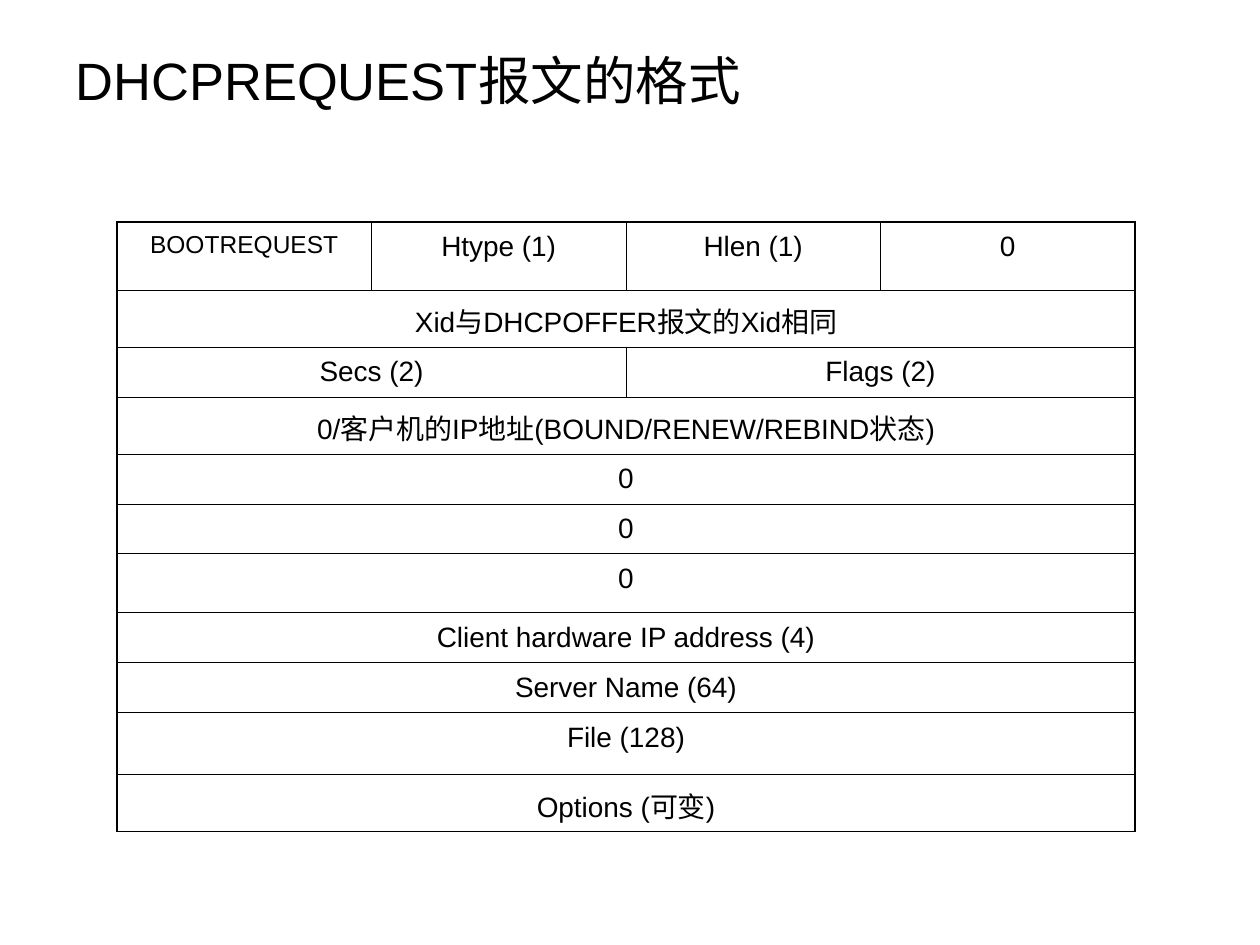
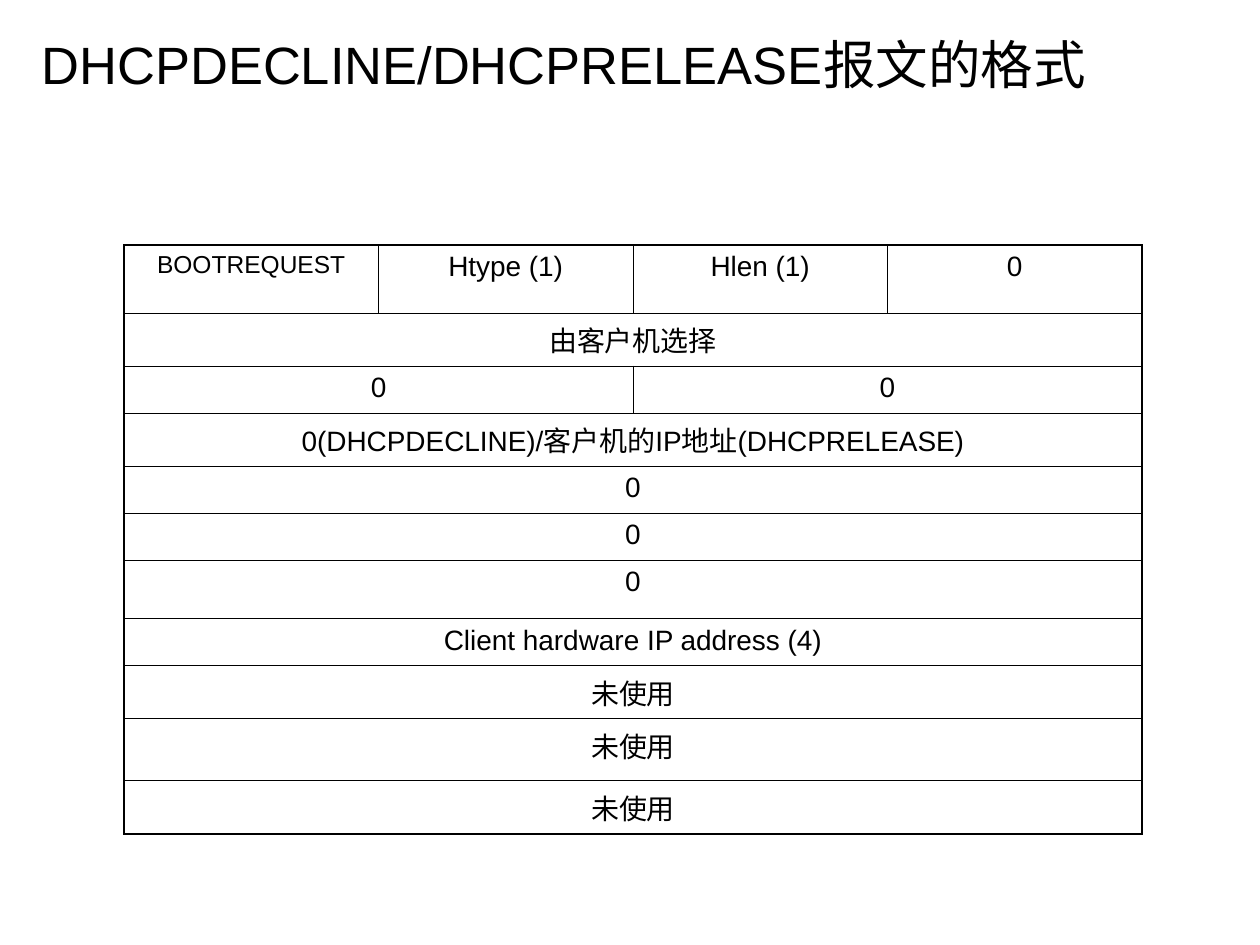
from lxml.etree import SubElement
from pptx import Presentation
from pptx.dml.color import RGBColor
from pptx.enum.text import MSO_ANCHOR as Anchor, MSO_AUTO_SIZE as AutoSize, PP_ALIGN as Align
from pptx.oxml.ns import qn
from pptx.util import Emu, Pt

EMU_PER_PX = 914400 / 126
COLUMNS = 4
TALL_ROWS = {0: 68, 6: 59, 9: 62}


def px(length):
    return Emu(round(length * EMU_PER_PX))


def color(hex_value):
    return RGBColor.from_string(hex_value)


class MessageDeck:
    font_name = "Arial"
    ink = "000000"
    title_size, field_size, opcode_size = 30, 16, 14
    outer_line, inner_line = Pt(1.08), Pt(0.45)

    def __init__(self):
        self.deck = Presentation()
        self.deck.slide_width, self.deck.slide_height = px(1260), px(945)
        self.slide = None

    def add_slide(self):
        self.slide = self.deck.slides.add_slide(self.deck.slide_layouts[5])

    def add_run(self, paragraph, text, size):
        run = paragraph.add_run()
        run.text = text
        run.font.name = self.font_name
        run.font.size = Pt(size)
        run.font.color.rgb = color(self.ink)

    def title(self, text, left, top, width):
        heading = self.slide.shapes.title
        heading.left, heading.top = px(left), px(top)
        heading.width, heading.height = px(width), px(107)
        frame = heading.text_frame
        frame.auto_size = AutoSize.NONE
        frame.vertical_anchor = Anchor.MIDDLE
        frame.paragraphs[0].alignment = Align.LEFT
        self.add_run(frame.paragraphs[0], text, self.title_size)

    def border(self, cell, widths):
        """Draw the left, right, top and bottom lines, which precede the fill in the XML."""
        properties = cell._tc.get_or_add_tcPr()
        for position, (side, width) in enumerate(zip("LRTB", widths)):
            line = SubElement(properties, qn(f"a:ln{side}"), w=str(width))
            fill = SubElement(line, qn("a:solidFill"))
            SubElement(fill, qn("a:srgbClr"), val=self.ink)
            properties.insert(position, line)

    def message_format(self, rows, left, top, row_height, line_spacing):
        """Draw a packet layout; the fields of each row share its width equally."""
        heights = [TALL_ROWS.get(i, row_height) for i in range(len(rows))]
        table = self.slide.shapes.add_table(
            len(rows), COLUMNS, px(left), px(top), px(1018), px(sum(heights))).table
        table.first_row = table.horz_banding = False
        for row, height in zip(table.rows, heights):
            row.height = px(height)

        def edge(is_outer):
            return self.outer_line if is_outer else self.inner_line

        for r, fields in enumerate(rows):
            span = COLUMNS // len(fields)
            for f, field in enumerate(fields):
                first, last = f * span, (f + 1) * span - 1
                widths = (edge(first == 0), edge(last == COLUMNS - 1),
                          edge(r == 0), edge(r == len(rows) - 1))
                for c in range(first, last + 1):
                    table.cell(r, c).fill.background()
                    self.border(table.cell(r, c), widths)
                cell = table.cell(r, first)
                if span > 1:
                    cell.merge(table.cell(r, last))
                paragraph = cell.text_frame.paragraphs[0]
                paragraph.alignment = Align.CENTER
                paragraph.line_spacing = line_spacing
                is_opcode = r == f == 0
                self.add_run(paragraph, field,
                             self.opcode_size if is_opcode else self.field_size)


HEADER = ["BOOTREQUEST", "Htype (1)", "Hlen (1)", "0"]
ADDRESSES = [["0"]] * 3 + [["Client hardware IP address (4)"]]

REQUEST = [
    HEADER,
    ["Xid与DHCPOFFER报文的Xid相同"],
    ["Secs (2)", "Flags (2)"],
    ["0/客户机的IP地址(BOUND/RENEW/REBIND状态)"],
    *ADDRESSES,
    ["Server Name (64)"],
    ["File (128)"],
    ["Options (可变)"],
]
DECLINE_RELEASE = [
    HEADER,
    ["由客户机选择"],
    ["0", "0"],
    ["0(DHCPDECLINE)/客户机的IP地址(DHCPRELEASE)"],
    *ADDRESSES,
    *[["未使用"]] * 3,
]


def main():
    messages = MessageDeck()

    messages.add_slide()
    messages.title("DHCPREQUEST报文的格式", 63, 26, 1033)
    messages.message_format(REQUEST, 117, 222, row_height=50, line_spacing=1.1)

    messages.add_slide()
    messages.title("DHCPDECLINE/DHCPRELEASE报文的格式", 29, 10, 1197)
    messages.message_format(DECLINE_RELEASE, 124, 245, row_height=47, line_spacing=1.0)

    messages.deck.save("out.pptx")


if __name__ == "__main__":
    main()
